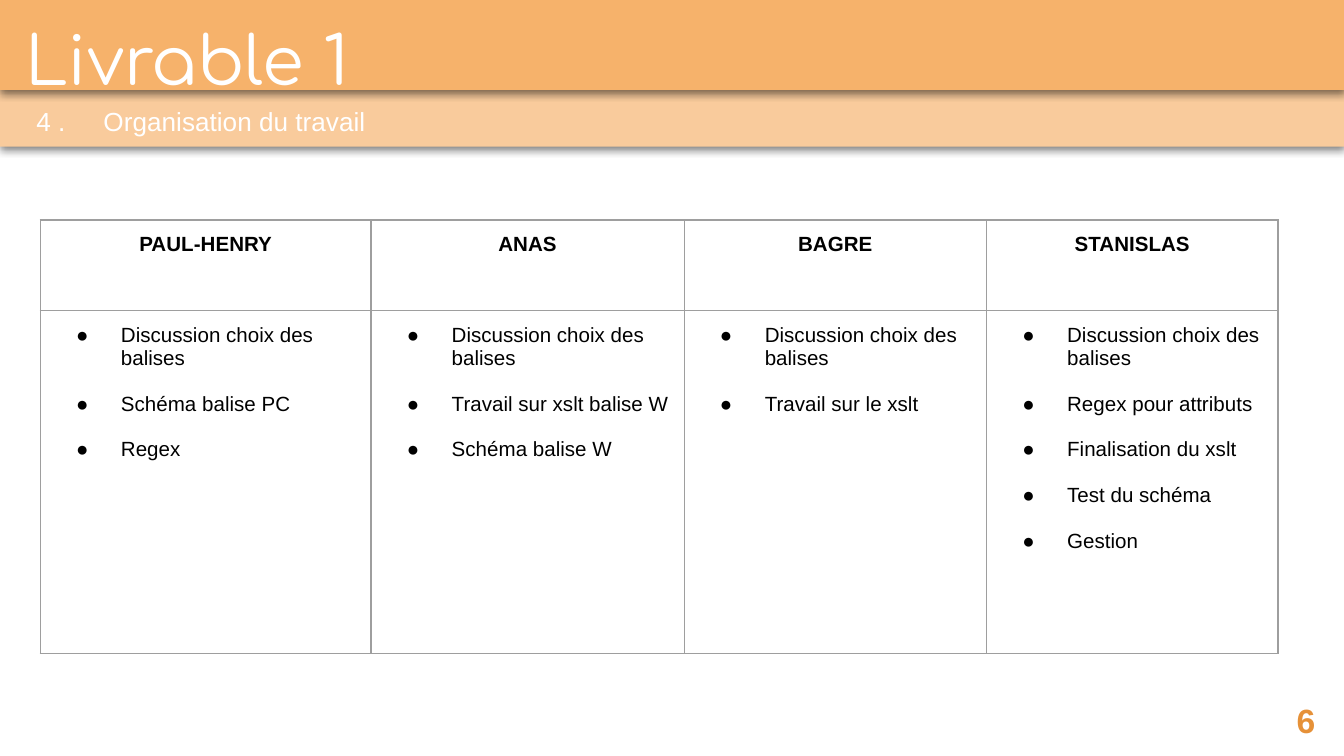
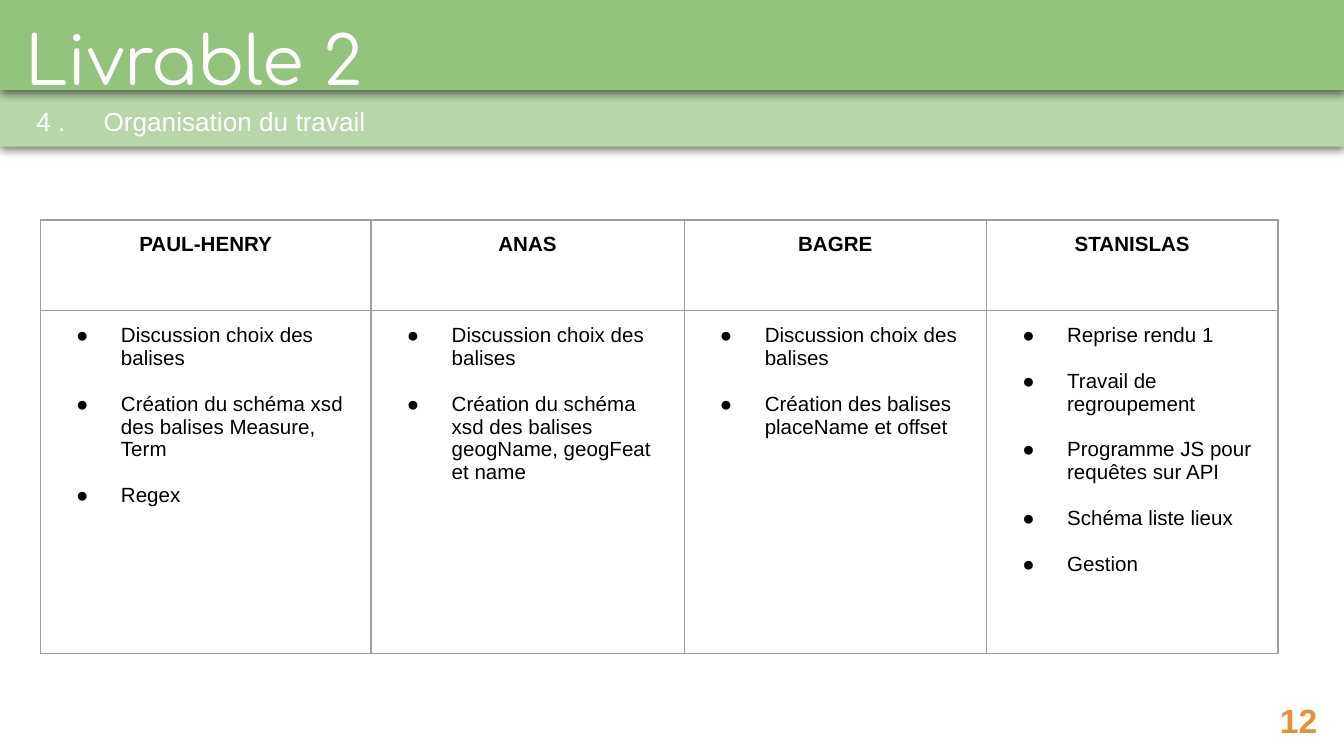
from lxml import etree
from pptx import Presentation
from pptx import util as u
from pptx.dml.color import RGBColor
from pptx.enum import shapes, text
from pptx.oxml import ns

WHITE = RGBColor(0xFF, 0xFF, 0xFF)
BLACK = RGBColor(0, 0, 0)
ORANGE = RGBColor(0xF6, 0xB2, 0x6B)
PALE_ORANGE = RGBColor(0xF9, 0xCB, 0x9C)
GREEN = RGBColor(0x93, 0xC4, 0x7D)
PALE_GREEN = RGBColor(0xB6, 0xD7, 0xA8)
NUMBER_COLOR = RGBColor(0xE6, 0x91, 0x38)
GRID = RGBColor(0x9E, 0x9E, 0x9E)

SLIDE_SIZE = (720, 405)
BAND_HEIGHT = 50.4
INSET = 7.2
COLUMN_WIDTHS = (177.2, 167.7, 162, 156.2)
ROW_HEIGHTS = (48.6, 183.8)
ITEM_GAP = 12.25

SECTION = "4 . \tOrganisation du travail"
MEMBERS = ("PAUL-HENRY", "ANAS", "BAGRE", "STANISLAS")
CHOICE = "Discussion choix des balises"
DELIVERABLES = [
    {
        "title": "Livrable 1", "number": "6",
        "color": ORANGE, "pale": PALE_ORANGE,
        "title_width": 643, "section_width": 692, "number_width": 33,
        "tasks": [
            [CHOICE, "Schéma balise PC", "Regex"],
            [CHOICE, "Travail sur xslt balise W", "Schéma balise W"],
            [CHOICE, "Travail sur le xslt"],
            [CHOICE, "Regex pour attributs", "Finalisation du xslt",
             "Test du schéma", "Gestion"],
        ],
    },
    {
        "title": "Livrable 2", "number": "12",
        "color": GREEN, "pale": PALE_GREEN,
        "title_width": 238.5, "section_width": 270.5, "number_width": 42,
        "tasks": [
            [CHOICE, "Création du schéma xsd des balises Measure, Term", "Regex"],
            [CHOICE, "Création du schéma xsd des balises geogName, geogFeat et name"],
            [CHOICE, "Création des balises placeName et offset"],
            ["Reprise rendu 1", "Travail de regroupement",
             "Programme JS pour requêtes sur API", "Schéma liste lieux", "Gestion"],
        ],
    },
]


def add_element(parent, tag, **attributes):
    element = etree.SubElement(parent, ns.qn(tag))
    for name, value in attributes.items():
        element.set(name, str(value))
    return element


def set_margins(holder):
    holder.margin_left = holder.margin_right = u.Pt(INSET)
    holder.margin_top = holder.margin_bottom = u.Pt(INSET)


def style(para, size, color, bold=False, name="Arial"):
    font = para.font
    font.size, font.bold, font.name = u.Pt(size), bold, name
    font.color.rgb = color


def add_band(page, top, color):
    band = page.shapes.add_shape(
        shapes.MSO_SHAPE.RECTANGLE, 0, u.Pt(top), u.Pt(SLIDE_SIZE[0]), u.Pt(BAND_HEIGHT))
    band.fill.solid()
    band.fill.fore_color.rgb = color
    band.line.fill.background()
    effects = add_element(band.element.spPr, "a:effectLst")
    shadow = add_element(effects, "a:outerShdw", blurRad=u.Pt(4.5), dist=u.Pt(1.5),
                         dir=90 * 60000, algn="bl", rotWithShape=0)
    shade = add_element(shadow, "a:srgbClr", val=BLACK)
    add_element(shade, "a:alpha", val=50000)


def add_text(page, words, left, top, width, height):
    box = page.shapes.add_textbox(u.Pt(left), u.Pt(top), u.Pt(width), u.Pt(height))
    frame = box.text_frame
    frame.word_wrap = True
    set_margins(frame)
    para = frame.paragraphs[0]
    para.text = words
    return para


def set_bullet(para):
    properties = para._p.get_or_add_pPr()
    properties.set("marL", str(u.Pt(36)))
    properties.set("indent", str(u.Pt(-24)))
    add_element(add_element(properties, "a:buClr"), "a:srgbClr", val=BLACK)
    add_element(properties, "a:buFont", typeface="Arial")
    add_element(properties, "a:buChar", char="●")


def format_cell(cell):
    set_margins(cell)
    properties = cell._tc.get_or_add_tcPr()
    for side in "LRTB":
        line = add_element(properties, f"a:ln{side}", w=u.Pt(0.75))
        add_element(add_element(line, "a:solidFill"), "a:srgbClr", val=GRID)
    cell.fill.background()


def add_work_table(page, tasks):
    table = page.shapes.add_table(
        2, len(MEMBERS), u.Pt(21.6), u.Pt(117.8),
        u.Pt(sum(COLUMN_WIDTHS)), u.Pt(sum(ROW_HEIGHTS))).table
    table.first_row = table.horz_banding = False
    for row, height in zip(table.rows, ROW_HEIGHTS):
        row.height = u.Pt(height)
    for index, (member, items) in enumerate(zip(MEMBERS, tasks)):
        table.columns[index].width = u.Pt(COLUMN_WIDTHS[index])
        header, body = table.cell(0, index), table.cell(1, index)
        format_cell(header)
        format_cell(body)
        para = header.text_frame.paragraphs[0]
        para.text = member
        para.alignment = text.PP_ALIGN.CENTER
        style(para, 11, BLACK, bold=True)
        frame = body.text_frame
        for position, item in enumerate(items):
            para = frame.add_paragraph() if position else frame.paragraphs[0]
            para.text = item
            set_bullet(para)
            if position:
                para.space_before = u.Pt(ITEM_GAP)
            style(para, 11, BLACK)


def add_page(deck, content):
    page = deck.slides.add_slide(deck.slide_layouts[6])
    add_band(page, 28.2, content["pale"])
    section = add_text(page, SECTION, -23.6, 46.8, content["section_width"], 55.4)
    section._p.get_or_add_pPr().set("marL", str(u.Pt(36)))
    section._p.get_or_add_pPr().set("indent", "0")
    section.line_spacing = 1.15
    style(section, 14, WHITE)
    width = content["number_width"]
    number = add_text(page, content["number"], 720.6 - width, 368, width, 28.8)
    style(number, 18, NUMBER_COLOR, bold=True)
    add_band(page, -2.2, content["color"])
    title = add_text(page, content["title"], 6.5, 2.9, content["title_width"], 55.4)
    style(title, 36, WHITE, name="Comfortaa")
    add_work_table(page, content["tasks"])


def main():
    deck = Presentation()
    deck.slide_width, deck.slide_height = (u.Pt(side) for side in SLIDE_SIZE)
    for content in DELIVERABLES:
        add_page(deck, content)
    deck.save("out.pptx")


if __name__ == "__main__":
    main()
